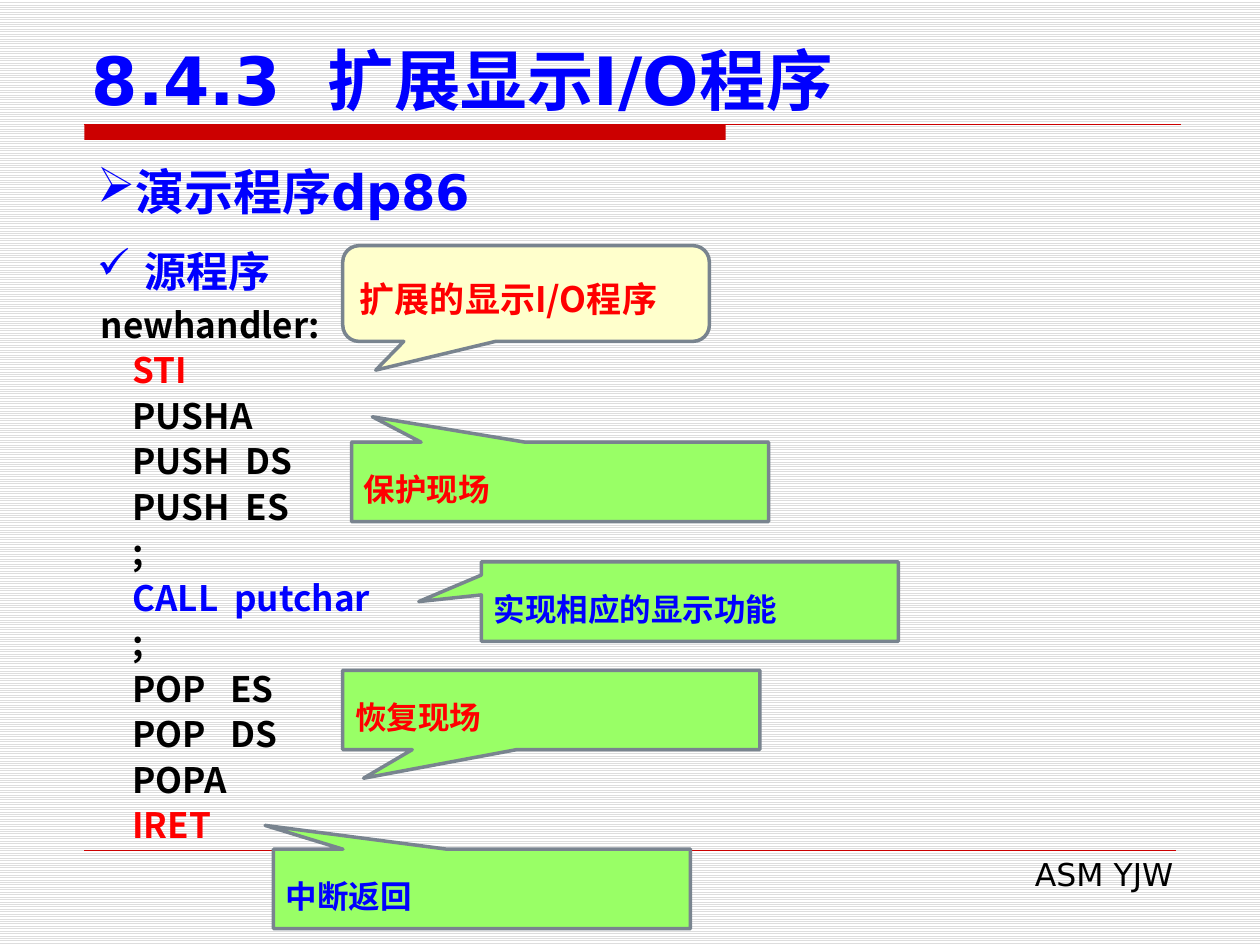
from dataclasses import dataclass

from lxml.etree import SubElement as Sub
from pptx import Presentation as Deck
from pptx.dml.color import RGBColor as Rgb
from pptx.enum.dml import MSO_PATTERN as Pat
from pptx.enum.shapes import MSO_CONNECTOR as Conn, MSO_SHAPE as Form
from pptx.enum.text import MSO_ANCHOR as Anchor, MSO_AUTO_SIZE as Auto, PP_ALIGN as Align
from pptx.oxml.ns import qn
from pptx.util import Inches as In, Pt


@dataclass(frozen=True)
class Theme:
    blue: str = "0000FF"
    red: str = "FF0000"
    black: str = "000000"
    white: str = "FFFFFF"
    stripe: str = "DDDDDD"
    rule: str = "CC0000"
    edge: str = "79848F"
    green: str = "99FF66"
    cream: str = "FFFFCC"
    sans: str = "DejaVu Sans"
    han: str = "Noto Sans CJK SC"
    title: int = 38
    head: int = 28
    sub: int = 24
    code: int = 20
    note: int = 18


def write(para, text, font, size, color, bold=True, lead=None, align=None, mark=None, hang=0):
    if lead:
        para.line_spacing = Pt(lead)
    if align is not None:
        para.alignment = align
    if mark:
        props = para._p.get_or_add_pPr()
        props.set("marL", str(In(hang)))
        props.set("indent", str(-In(hang)))
        Sub(props, qn("a:buChar"), char=mark)
    run = para.add_run()
    run.text = text
    run.font.name, run.font.size, run.font.bold = font, Pt(size), bold
    run.font.color.rgb = Rgb.from_string(color)
    Sub(run._r.get_or_add_rPr(), qn("a:ea"), typeface=font)


class Page:
    """Draws styled elements on one slide."""

    def __init__(self, slide, theme):
        self.slide, self.theme = slide, theme
        self.shapes = slide.shapes

    def back(self):
        fill = self.slide.background.fill
        fill.patterned()
        fill.pattern = Pat.LIGHT_HORIZONTAL
        fill.fore_color.rgb = Rgb.from_string(self.theme.stripe)
        fill.back_color.rgb = Rgb.from_string(self.theme.white)

    def shape(self, form, area, fill):
        item = self.shapes.add_shape(form, *map(In, area))
        item.shadow.inherit = False
        item.fill.solid()
        item.fill.fore_color.rgb = Rgb.from_string(fill)
        return item

    def bar(self, area):
        self.shape(Form.RECTANGLE, area, self.theme.rule).line.fill.background()

    def line(self, left, right, top, width):
        item = self.shapes.add_connector(Conn.STRAIGHT, In(left), In(top), In(right), In(top))
        item.line.color.rgb = Rgb.from_string(self.theme.rule)
        item.line.width = Pt(width)
        Sub(item._element.spPr, qn("a:effectLst"))

    def text(self, area, lines, anchor=Anchor.TOP, grow=True, **style):
        frame = self.shapes.add_textbox(*map(In, area)).text_frame
        frame.word_wrap = True
        frame.auto_size = Auto.SHAPE_TO_FIT_TEXT if grow else Auto.NONE
        frame.vertical_anchor = anchor
        for num, (words, color) in enumerate(lines):
            para = frame.add_paragraph() if num else frame.paragraphs[0]
            write(para, words, color=color, **style)

    def callout(self, form, area, tip, fill, text, **style):
        item = self.shape(form, area, fill)
        for num, value in enumerate(tip):
            item.adjustments[num] = value
        item.line.color.rgb = Rgb.from_string(self.theme.edge)
        item.line.width = Pt(2)
        frame = item.text_frame
        frame.word_wrap = True
        frame.vertical_anchor = Anchor.MIDDLE
        write(frame.paragraphs[0], text, lead=30, align=Align.LEFT, **style)


def main():
    deck = Deck()
    deck.slide_width, deck.slide_height = In(10), In(7.5)
    look = Theme()
    page = Page(deck.slides.add_slide(deck.slide_layouts[6]), look)
    page.back()
    page.bar((0.67, 0.99, 5.09, 0.12))
    page.line(0.67, 9.37, 0.99, 0.75)
    page.line(0.67, 9.33, 6.75, 0.25)
    page.text((3.82, 6.74, 5.59, 0.4), [("ASM YJW", look.black)],
              font=look.sans, size=look.note, bold=False, align=Align.RIGHT)
    page.text((0.67, 1.23, 8.66, 0.57), [("演示程序dp86", look.blue)],
              font=look.sans, size=look.head, align=Align.JUSTIFY, mark="➢")

    tints = {"STI": look.red, "CALL  putchar": look.blue, "IRET": look.red}
    steps = ["STI", "PUSHA", "PUSH  DS", "PUSH  ES", ";", "CALL  putchar", ";",
             "POP   ES", "POP   DS", "POPA", "IRET"]
    code = [("newhandler:", look.black)]
    code += [("    " + step, tints.get(step, look.black)) for step in steps]
    page.text((0.7, 2.33, 8.71, 4.48), code, font=look.han, size=look.code, lead=26)
    page.text((0.67, 1.8, 8.66, 0.54), [("源程序", look.blue)],
              font=look.han, size=look.sub, lead=36, mark="✓", hang=0.38)
    page.text((0.63, 0.33, 8.75, 0.66), [("8.4.3  扩展显示I/O程序", look.blue)],
              anchor=Anchor.BOTTOM, grow=False, font=look.sans, size=look.title)

    notes = [
        (2.79, 3.51, (-0.45, -0.82), "保护现场", look.red),
        (3.82, 4.46, (-0.65, 0), "实现相应的显示功能", look.blue),
        (2.72, 5.32, (-0.45, 0.86), "恢复现场", look.red),
        (2.17, 6.74, (-0.52, -0.8), "中断返回", look.blue),
    ]
    for left, top, tip, text, color in notes:
        page.callout(Form.RECTANGULAR_CALLOUT, (left, top, 3.31, 0.63), tip, look.green,
                     text, font=look.sans, size=look.note, color=color)
    page.callout(Form.ROUNDED_RECTANGULAR_CALLOUT, (2.72, 1.95, 2.91, 0.76),
                 (-0.41, 0.8, 0.17), look.cream, "扩展的显示I/O程序",
                 font=look.han, size=look.code, color=look.red)
    deck.save("out.pptx")


if __name__ == "__main__":
    main()
